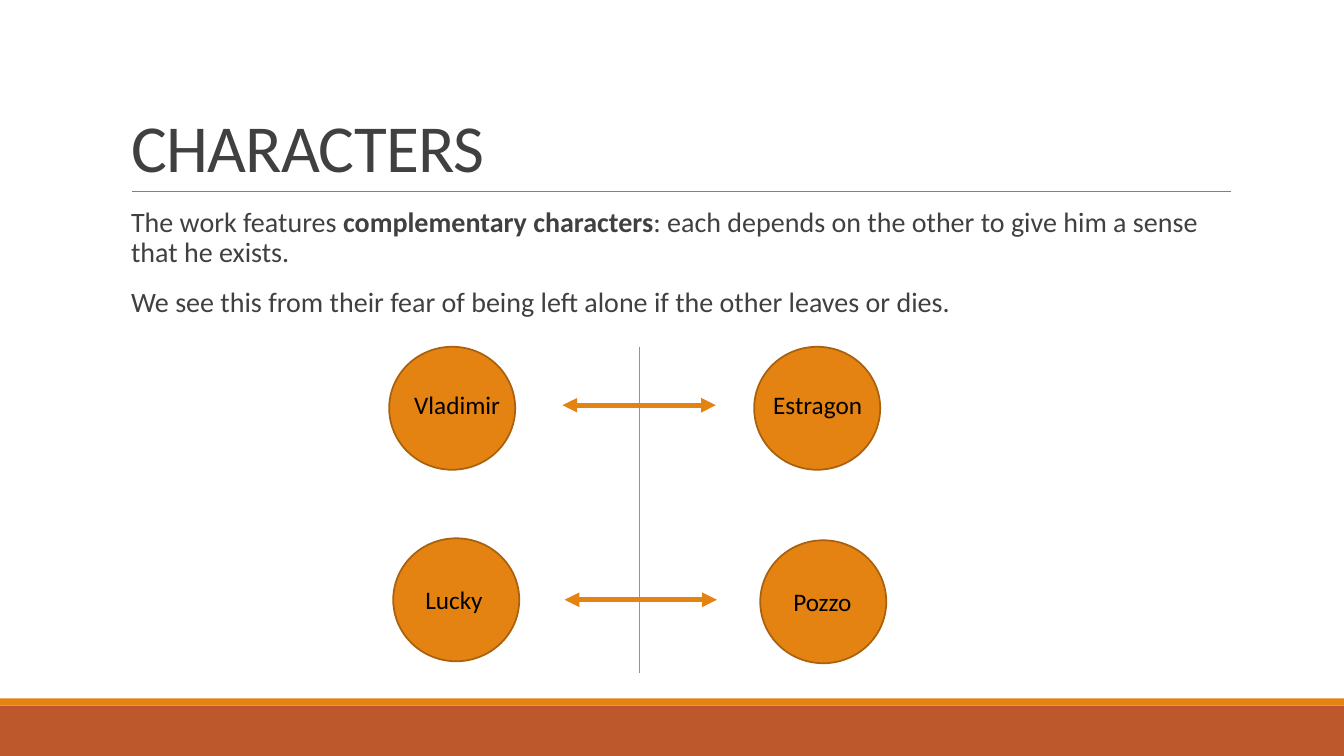
from lxml import etree
from pptx import Presentation
from pptx import util as u
from pptx.dml.color import RGBColor
from pptx.enum import shapes, text
from pptx.oxml.ns import qn

PX = 9144  # 100 px to the inch

THEME = {
    "font": "Calibri",
    "orange": "E48312", "rust": "BD582C", "outline": "A9610D",
    "rule": "808080", "ink": "404040", "label": "000000",
    "title_size": 48, "body_size": 20, "label_size": 18,
}


def add_filled(kind, left, top, width, height, fill, outline=None):
    shape = page.shapes.add_shape(kind, left * PX, top * PX, width * PX, height * PX)
    shape.shadow.inherit = False
    shape.fill.solid()
    shape.fill.fore_color.rgb = RGBColor.from_string(THEME[fill])
    if outline:
        shape.line.color.rgb = RGBColor.from_string(THEME[outline])
        shape.line.width = u.Pt(1.25)
    else:
        shape.line.fill.background()


def add_span(para, wording, size, color, bold=False):
    span = para.add_run()
    span.text = wording
    font = {"name": THEME["font"], "size": u.Pt(THEME[size]), "bold": bold}
    for name, value in font.items():
        setattr(span.font, name, value)
    span.font.color.rgb = RGBColor.from_string(THEME[color])
    return span


deck = Presentation()
deck.slide_width, deck.slide_height = 1333 * PX, 750 * PX
page = deck.slides.add_slide(deck.slide_layouts[5])

# Footer bands
add_filled(shapes.MSO_SHAPE.RECTANGLE, 0, 700, 1333, 50, "rust")
add_filled(shapes.MSO_SHAPE.RECTANGLE, 0, 693, 1333, 7, "orange")

# Title
title = page.shapes.title
placement = {"left": 120, "top": 31, "width": 1100, "height": 159}
for name, value in placement.items():
    setattr(title, name, value * PX)
frame = title.text_frame
frame.auto_size = text.MSO_AUTO_SIZE.NONE
frame.vertical_anchor = text.MSO_ANCHOR.BOTTOM
para = frame.paragraphs[0]
para.alignment = text.PP_ALIGN.LEFT
para.line_spacing = 0.85
span = add_span(para, "CHARACTERS", "title_size", "ink")
span.font._element.set("spc", "-50")

# Body
body = [
    [("The work features ", False), ("complementary characters", True),
     (": each depends on the other to give him a sense that he exists.", False)],
    [("We see this from their fear of being left alone if the other leaves or dies.", False)],
]
box = page.shapes.add_textbox(120 * PX, 202 * PX, 1100 * PX, 440 * PX)
frame = box.text_frame
frame.word_wrap = True
frame.margin_left = frame.margin_right = 0
for index, spans in enumerate(body):
    para = frame.add_paragraph() if index else frame.paragraphs[0]
    para._p.get_or_add_pPr().set("marL", str(10 * PX))
    para.line_spacing = 0.9
    para.space_before = u.Pt(12 if index else 0)
    para.space_after = u.Pt(2)
    for wording, bold in spans:
        add_span(para, wording, "body_size", "ink", bold)

# Characters: name, circle corner, label corner
characters = [
    ("Vladimir", (386, 344), (401, 381)),
    ("Estragon", (748, 344), (757, 381)),
    ("Lucky", (390, 534), (412, 575)),
    ("Pozzo", (754, 536), (777, 577)),
]
for name, circle, label in characters:
    add_filled(shapes.MSO_SHAPE.OVAL, *circle, 125, 122, "orange", "outline")
    box = page.shapes.add_textbox(label[0] * PX, label[1] * PX, 126 * PX, 40 * PX)
    box.text_frame.word_wrap = True
    add_span(box.text_frame.paragraphs[0], name, "label_size", "label")

# Lines: start, end, colour, width in points, arrowheads
lines = [
    ((131, 190), (1221, 190), "rule", 0.5, False),
    ((558, 402), (710, 402), "orange", 3.5, True),
    ((560, 595), (711, 595), "orange", 3.5, True),
    ((634, 344), (634, 668), "orange", 1, False),
]
for start, end, color, width, arrows in lines:
    line = page.shapes.add_connector(
        shapes.MSO_CONNECTOR.STRAIGHT, *(value * PX for value in start + end))
    line.line.color.rgb = RGBColor.from_string(THEME[color])
    line.line.width = u.Pt(width)
    if arrows:
        for tip in ("a:headEnd", "a:tailEnd"):
            etree.SubElement(line.line._get_or_add_ln(), qn(tip), type="triangle")
    etree.SubElement(line._element.spPr, qn("a:effectLst"))

deck.save("out.pptx")
